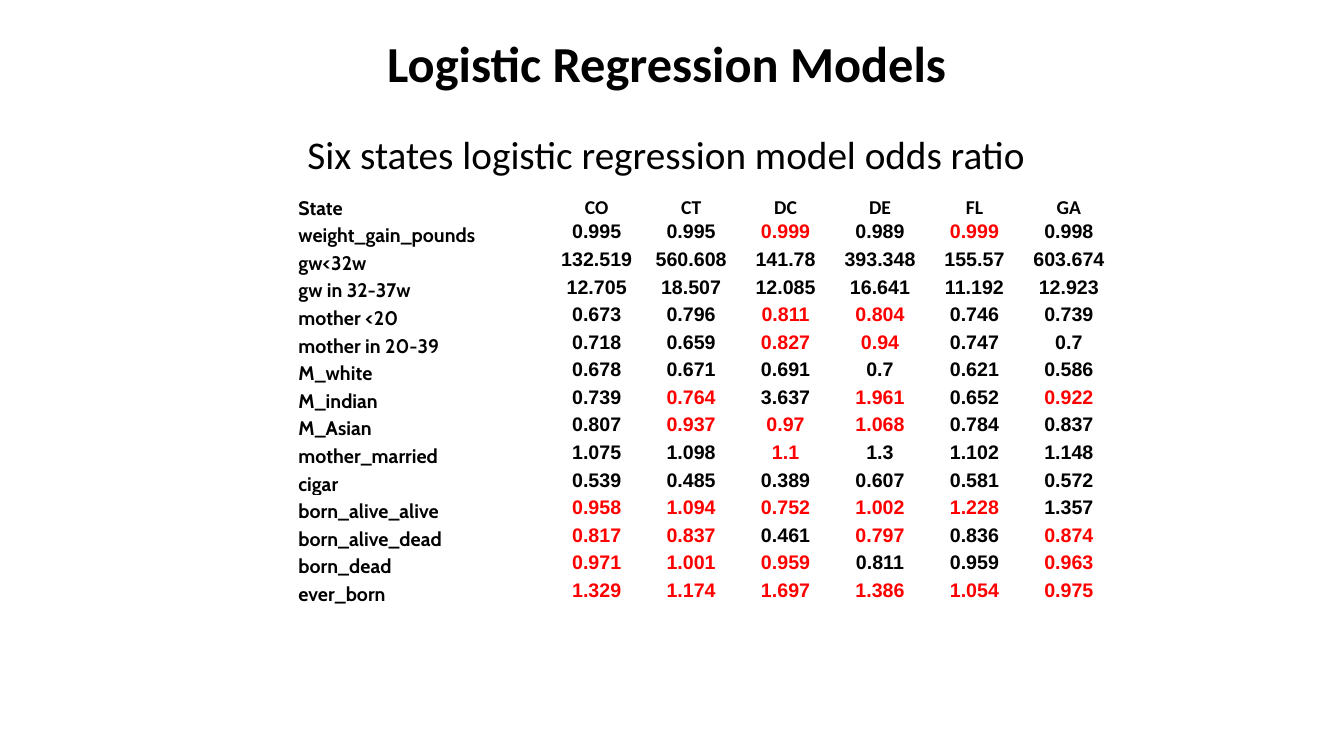
"""Build the slide of logistic regression odds ratios for six states."""
from pptx import Presentation
from pptx.dml.color import RGBColor
from pptx.enum.text import MSO_ANCHOR, MSO_AUTO_SIZE, PP_ALIGN
from pptx.util import Inches, Pt

TITLE = "Logistic Regression Models"
SUBTITLE = "Six states logistic regression model odds ratio"
HEADER = ("State", "CO CT DC DE FL GA")
RED_MARK = "*"
ODDS = [
    ("weight_gain_pounds", "0.995 0.995 0.999* 0.989 0.999* 0.998"),
    ("gw<32w", "132.519 560.608 141.78 393.348 155.57 603.674"),
    ("gw in 32-37w", "12.705 18.507 12.085 16.641 11.192 12.923"),
    ("mother <20", "0.673 0.796 0.811* 0.804* 0.746 0.739"),
    ("mother in 20-39", "0.718 0.659 0.827* 0.94* 0.747 0.7"),
    ("M_white", "0.678 0.671 0.691 0.7 0.621 0.586"),
    ("M_indian", "0.739 0.764* 3.637 1.961* 0.652 0.922*"),
    ("M_Asian", "0.807 0.937* 0.97* 1.068* 0.784 0.837"),
    ("mother_married", "1.075 1.098 1.1* 1.3 1.102 1.148"),
    ("cigar", "0.539 0.485 0.389 0.607 0.581 0.572"),
    ("born_alive_alive", "0.958* 1.094* 0.752* 1.002* 1.228* 1.357"),
    ("born_alive_dead", "0.817* 0.837* 0.461 0.797* 0.836 0.874*"),
    ("born_dead", "0.971* 1.001* 0.959* 0.811 0.959 0.963*"),
    ("ever_born", "1.329* 1.174* 1.697* 1.386* 1.054* 0.975*"),
]
BLACK = RGBColor(0, 0, 0)
RED = RGBColor(255, 0, 0)
LEFT, TABLE_TOP, TABLE_W, TABLE_H = 2.95, 1.91, 8.12, 4.11
LABEL_W = 2.5


def add_run(p, text, size, font, color=BLACK, bold=False):
    r = p.add_run()
    r.text = text
    r.font.size, r.font.name, r.font.bold = Pt(size), font, bold
    r.font.color.rgb = color


def add_titles(slide):
    title = slide.shapes.title
    title.left, title.top = Inches(3.74), Inches(0.08)
    title.width, title.height = Inches(6.8), Inches(1.16)
    tf = title.text_frame
    tf.vertical_anchor = MSO_ANCHOR.MIDDLE
    p = tf.paragraphs[0]
    p.alignment, p.line_spacing = PP_ALIGN.LEFT, 0.9
    add_run(p, TITLE, 36, "Calibri", bold=True)
    box = slide.shapes.add_textbox(Inches(LEFT), Inches(1.24), Inches(7.4), Inches(0.57))
    tf = box.text_frame
    tf.word_wrap, tf.auto_size = False, MSO_AUTO_SIZE.SHAPE_TO_FIT_TEXT
    add_run(tf.paragraphs[0], SUBTITLE, 28, "Calibri")


def fill_cell(cell, text, row, col):
    cell.fill.background()
    cell.margin_left = cell.margin_right = cell.margin_top = Inches(0.01)
    cell.margin_bottom = 0
    edge = row == 0 or col == 0
    cell.vertical_anchor = MSO_ANCHOR.BOTTOM if edge else MSO_ANCHOR.TOP
    p = cell.text_frame.paragraphs[0]
    p.alignment = PP_ALIGN.CENTER if col else PP_ALIGN.LEFT
    font = "Cabin" if col == 0 else "Calibri" if row == 0 else "Arial"
    color = RED if text.endswith(RED_MARK) else BLACK
    add_run(p, text.rstrip(RED_MARK), 14, font, color, bold=True)


def add_odds_table(slide):
    rows = [[label, *values.split()] for label, values in [HEADER, *ODDS]]
    n_rows, n_cols = len(rows), len(rows[0])
    table = slide.shapes.add_table(n_rows, n_cols, Inches(LEFT), Inches(TABLE_TOP),
                                   Inches(TABLE_W), Inches(TABLE_H)).table
    table.first_row = table.horz_banding = False
    for c, column in enumerate(table.columns):
        column.width = Inches((TABLE_W - LABEL_W) / (n_cols - 1) if c else LABEL_W)
    for r, values in enumerate(rows):
        table.rows[r].height = Inches(TABLE_H / n_rows)
        for c, text in enumerate(values):
            fill_cell(table.cell(r, c), text, r, c)


def main():
    prs = Presentation()
    prs.slide_width, prs.slide_height = Inches(13.33), Inches(7.5)
    slide = prs.slides.add_slide(prs.slide_layouts[5])
    add_odds_table(slide)
    add_titles(slide)
    prs.save("out.pptx")


if __name__ == "__main__":
    main()
